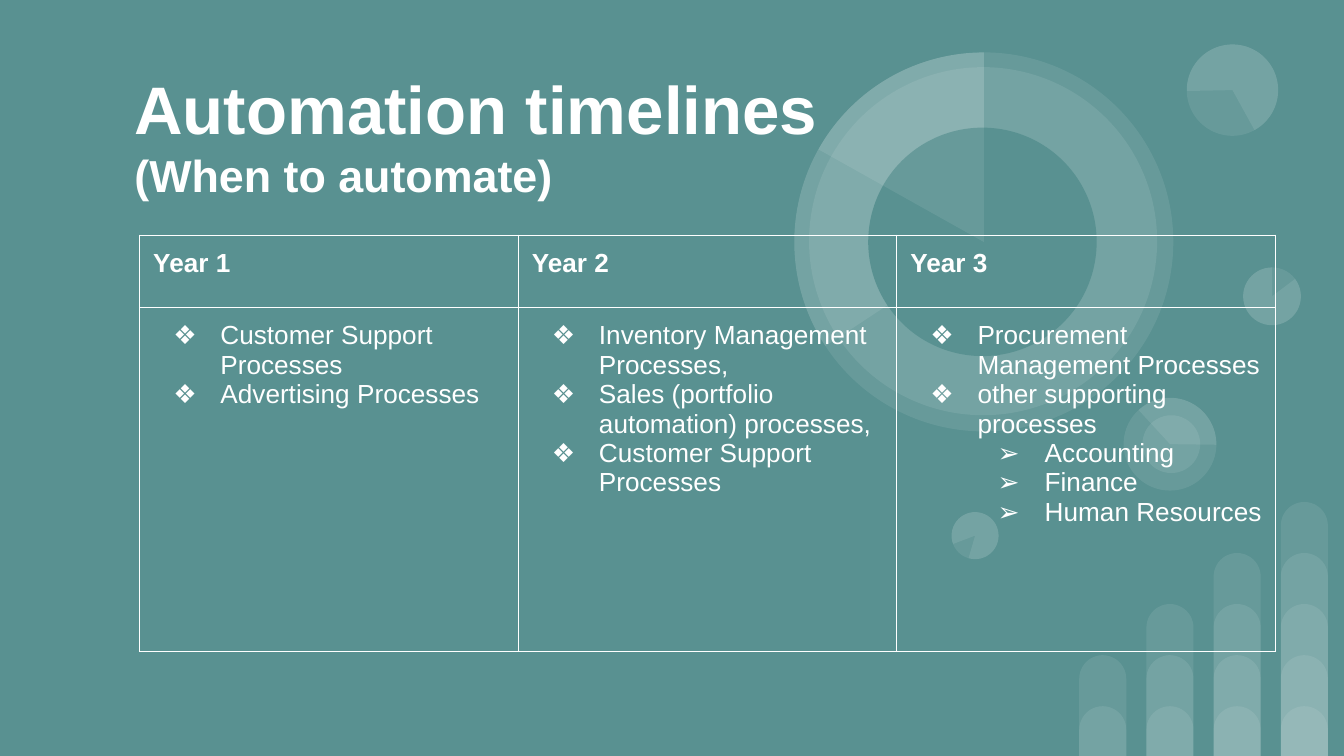
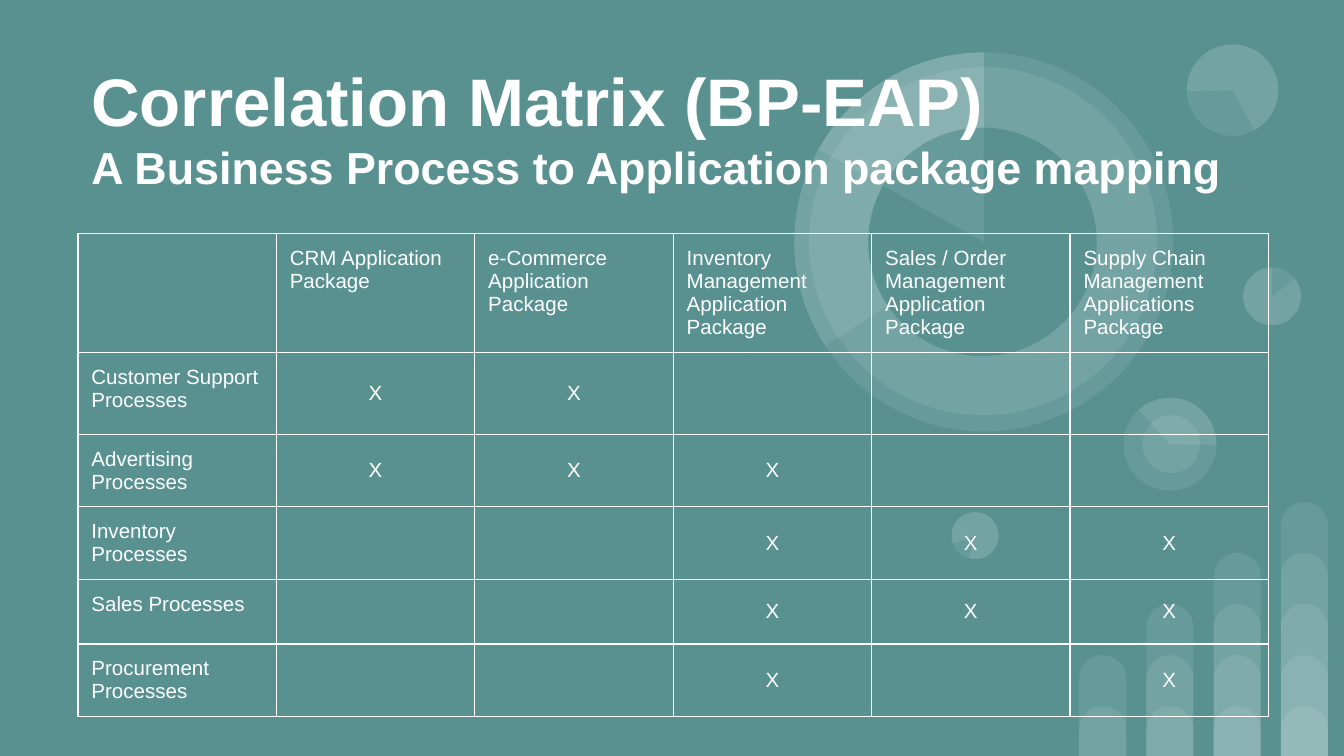
"""Build two slides on automation planning: a timeline table and a correlation matrix."""
from copy import deepcopy

from lxml.etree import SubElement
from pptx import Presentation
from pptx.dml.color import RGBColor
from pptx.enum.shapes import MSO_SHAPE as Shape
from pptx.enum.text import MSO_ANCHOR as Anchor, MSO_AUTO_SIZE as AutoSize, PP_ALIGN as Align
from pptx.oxml.ns import qn
from pptx.util import Inches, Pt

COLORS = {"teal": "599191", "white": "FFFFFF"}
FONT = "Arial"
WIDTH = 10
HEIGHT = WIDTH * 9 / 16
BULLETS = "❖➢"

TIMELINE = {
    "title": ("Automation timelines", "(When to automate)"),
    "title_box": (0.9, 0.4, 8.06, 1.54),
    "origin": (1.04, 1.75),
    "width": 8.45,
    "rows": (0.54, 2.56),
    "size": 14,
}
YEARS = {
    "Year 1": [(0, "Customer Support Processes"), (0, "Advertising Processes")],
    "Year 2": [
        (0, "Inventory Management Processes,"),
        (0, "Sales (portfolio automation) processes,"),
        (0, "Customer Support Processes"),
    ],
    "Year 3": [
        (0, "Procurement Management Processes"),
        (0, "other supporting processes"),
        (1, "Accounting"),
        (1, "Finance"),
        (1, "Human Resources"),
    ],
}

MATRIX = {
    "title": ("Correlation Matrix (BP-EAP)", "A Business Process to Application package mapping"),
    "title_box": (0.58, 0.34, 9.2, 1.31),
    "origin": (0.58, 1.74),
    "width": 8.86,
    "rows": (0.71, 0.61, 0.54, 0.54, 0.48, 0.54),
    "size": 11,
}
PACKAGES = [
    ("CRM Application", "Package"),
    ("e-Commerce Application Package",),
    ("Inventory Management Application Package",),
    ("Sales / Order Management Application Package",),
    ("Supply Chain Management Applications Package",),
]
PROCESSES = {
    "Customer Support Processes": "XX---",
    "Advertising Processes": "XXX--",
    "Inventory Processes": "--XXX",
    "Sales Processes": "--XXX",
    "Procurement Processes": "--X-X",
}

RING = (5.91, 0.39, 2.82, 0)
TOP_PIE = (8.83, 0.33, 0.68, 215.9)
SIDE_PIE = (9.25, 1.99, 0.43, 0)
DONUT = (8.36, 2.96, 0.69, 90)
LOW_PIE = (7.08, 3.81, 0.35, 196.2)
DISCS = [
    (SIDE_PIE, None), (SIDE_PIE, (322.95, 270)),
    (LOW_PIE, None), (LOW_PIE, (322.95, 270)),
    (DONUT, None), (DONUT, (137.41, 270.77)), ((8.5, 3.09, 0.43, 90), None),
    (TOP_PIE, None), (TOP_PIE, (322.95, 205.23)),
    (RING, None), ((6.02, 0.5, 2.59, 34.1), None), (RING, (146.69, 270)),
]
HUB = (6.46, 0.95, 1.7, 34.1)
HUB_SLICE = (RING, (209.24, 270))


def rgb(name):
    return RGBColor.from_string(COLORS[name])


def add_plain_shape(group, kind, box, color="white", alpha=9):
    shape = group.shapes.add_shape(kind, *map(Inches, box))
    shape.shadow.inherit = False
    shape.line.fill.background()
    shape.fill.solid()
    shape.fill.fore_color.rgb = rgb(color)
    if alpha < 100:
        tint = shape.element.find(".//" + qn("a:srgbClr"))
        SubElement(tint, qn("a:alpha"), val=str(alpha * 1000))
    return shape


def add_disc(group, disc, angles=None, **paint):
    left, top, size, turn = disc
    kind = Shape.PIE if angles else Shape.OVAL
    shape = add_plain_shape(group, kind, (left, top, size, size), **paint)
    shape.rotation = turn
    for index, angle in enumerate(angles or ()):
        shape.adjustments[index] = angle * 0.6


def decorate(layout, slide):
    layout.background.fill.solid()
    layout.background.fill.fore_color.rgb = rgb("teal")

    bars = slide.shapes.add_group_shape()
    for column in range(4):
        for step in range(column + 2):
            height = 0.37 + 0.38 * step
            box = (8.03 + 0.5 * column, HEIGHT - height, 0.35, height)
            bar = add_plain_shape(bars, Shape.ROUND_2_SAME_RECTANGLE, box)
            bar.adjustments[0] = 0.5

    discs = slide.shapes.add_group_shape()
    for disc, angles in DISCS:
        add_disc(discs, disc, angles)
    add_disc(discs, HUB, color="teal", alpha=100)
    add_disc(discs, *HUB_SLICE)

    for place, group in enumerate((bars, discs), start=2):
        layout.shapes.element.insert(place, group.element)


def add_text(para, text, size, bold=False):
    span = para.add_run()
    span.text = text
    span.font.name = FONT
    span.font.size = Pt(size)
    span.font.bold = bold
    span.font.color.rgb = rgb("white")


def set_title(slide, lines, place):
    title = slide.shapes.title
    title.left, title.top, title.width, title.height = map(Inches, place)
    frame = title.text_frame
    frame.word_wrap = True
    frame.auto_size = AutoSize.NONE
    frame.vertical_anchor = Anchor.TOP
    frame.margin_left = frame.margin_right = Inches(0.1)
    frame.margin_top = frame.margin_bottom = Inches(0.1)
    para = frame.paragraphs[0]
    para.alignment = Align.LEFT
    add_text(para, lines[0], 36, bold=True)
    para.add_line_break()
    add_text(para, lines[1], 24, bold=True)
    line_break = title.element.find(".//" + qn("a:br"))
    line_break.append(deepcopy(title.element.find(".//" + qn("a:rPr"))))


def set_bullet(para, level):
    para.level = level
    props = para._p.get_or_add_pPr()
    props.set("marL", str(Inches(0.5 * (level + 1))))
    props.set("indent", str(Inches(-0.35)))
    color = SubElement(props, qn("a:buClr"))
    SubElement(color, qn("a:srgbClr"), val=COLORS["white"])
    SubElement(props, qn("a:buSzPct"), val="100000")
    SubElement(props, qn("a:buFont"), typeface=FONT)
    SubElement(props, qn("a:buChar"), char=BULLETS[level])


def set_borders(cell):
    props = cell._tc.get_or_add_tcPr()
    for place, side in enumerate("LRTB"):
        line = SubElement(props, qn("a:ln" + side), w=str(Pt(0.75)))
        fill = SubElement(line, qn("a:solidFill"))
        SubElement(fill, qn("a:srgbClr"), val=COLORS["white"])
        props.insert(place, line)


def fill_cell(cell, lines, size, bold=False, centred=False):
    cell.fill.background()
    set_borders(cell)
    cell.margin_left = cell.margin_right = Inches(0.1)
    cell.margin_top = cell.margin_bottom = Inches(0.1)
    cell.vertical_anchor = Anchor.MIDDLE if centred else Anchor.TOP
    frame = cell.text_frame
    if not lines:
        SubElement(frame.paragraphs[0]._p, qn("a:endParaRPr"), sz=str(size * 100))
    for index, (level, text) in enumerate(lines):
        para = frame.add_paragraph() if index else frame.paragraphs[0]
        if centred:
            para.alignment = Align.CENTER
        if level is not None:
            set_bullet(para, level)
        add_text(para, text, size, bold)


def add_grid(slide, plan, columns):
    rows = plan["rows"]
    box = (*plan["origin"], plan["width"], sum(rows))
    table = slide.shapes.add_table(len(rows), columns, *map(Inches, box)).table
    table.first_row = table.horz_banding = False
    for row, height in zip(table.rows, rows):
        row.height = Inches(height)
    return table


def plain(*texts):
    return [(None, text) for text in texts]


def build_timeline(slide):
    size = TIMELINE["size"]
    table = add_grid(slide, TIMELINE, len(YEARS))
    for column, (year, items) in enumerate(YEARS.items()):
        fill_cell(table.cell(0, column), plain(year), size, bold=True)
        fill_cell(table.cell(1, column), items, size)


def build_matrix(slide):
    size = MATRIX["size"]
    table = add_grid(slide, MATRIX, len(PACKAGES) + 1)
    for column, package in enumerate([(), *PACKAGES]):
        fill_cell(table.cell(0, column), plain(*package), size)
    for row, (process, marks) in enumerate(PROCESSES.items(), start=1):
        fill_cell(table.cell(row, 0), plain(process), size)
        for column, mark in enumerate(marks, start=1):
            lines = plain(mark) if mark == "X" else []
            fill_cell(table.cell(row, column), lines, size, centred=True)


def main():
    deck = Presentation()
    deck.slide_width, deck.slide_height = Inches(WIDTH), Inches(HEIGHT)
    layout = deck.slide_layouts[0]
    for plan, build in ((TIMELINE, build_timeline), (MATRIX, build_matrix)):
        slide = deck.slides.add_slide(layout)
        subtitle = slide.placeholders[1].element
        subtitle.getparent().remove(subtitle)
        set_title(slide, plan["title"], plan["title_box"])
        build(slide)
    decorate(layout, deck.slides[0])
    deck.save("out.pptx")


if __name__ == "__main__":
    main()
